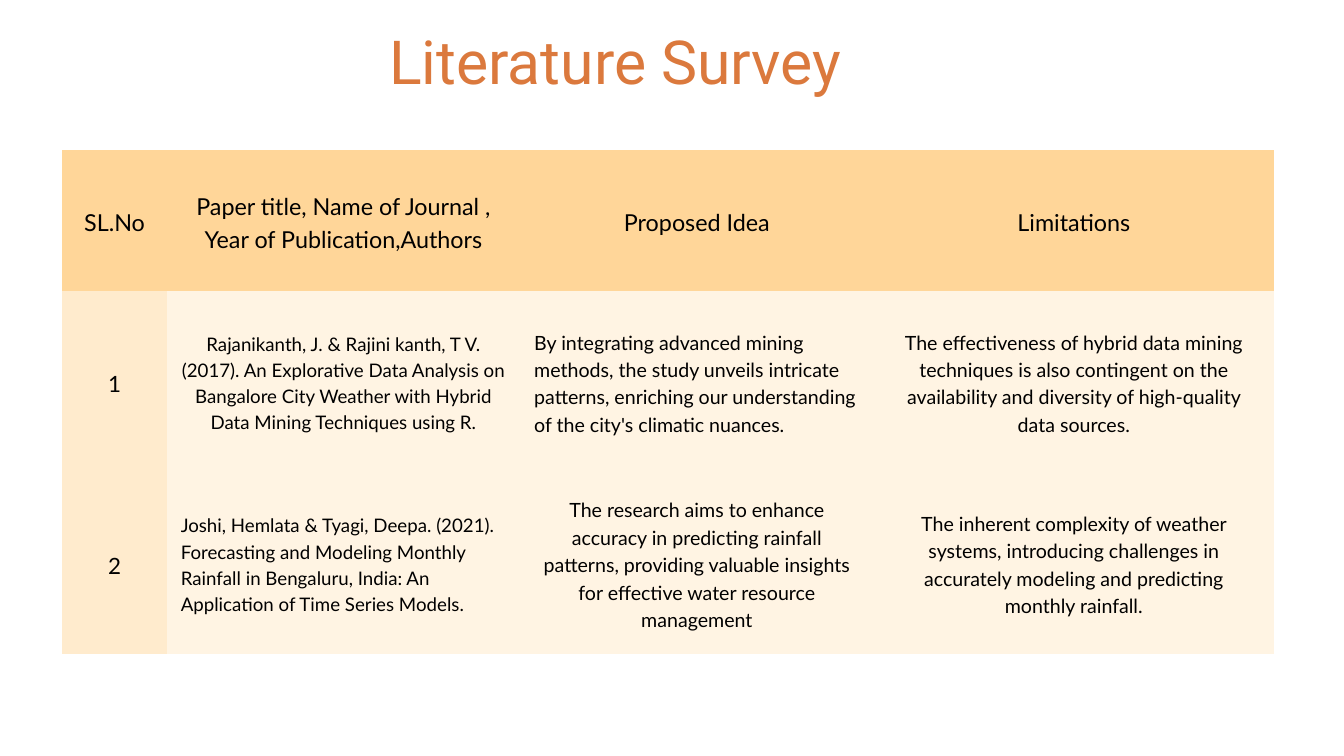
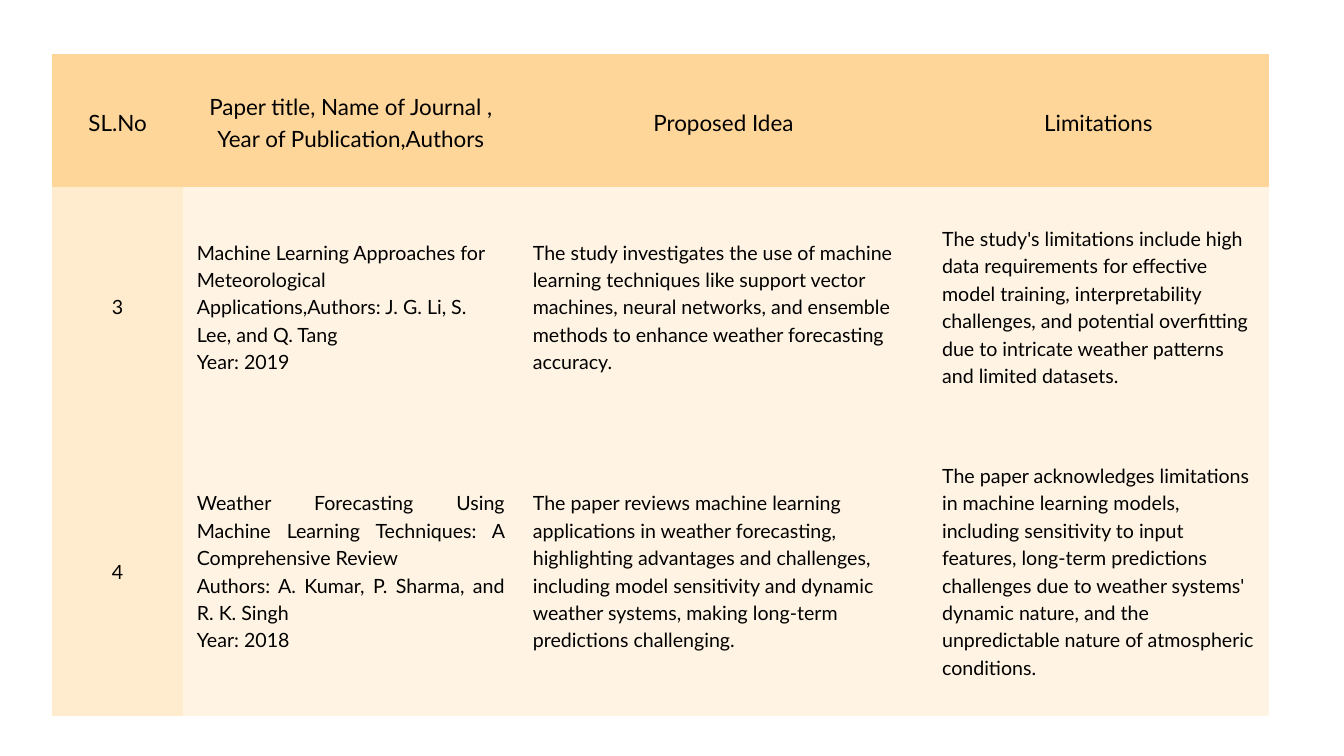
from lxml import etree
from pptx import Presentation
from pptx.dml.color import RGBColor
from pptx.enum.text import MSO_ANCHOR, MSO_AUTO_SIZE, PP_ALIGN
from pptx.oxml.ns import qn
from pptx.util import Inches, Pt

LEFT, CENTER, JUSTIFY = PP_ALIGN.LEFT, PP_ALIGN.CENTER, PP_ALIGN.JUSTIFY
MIDDLE = MSO_ANCHOR.MIDDLE
GROW = MSO_AUTO_SIZE.SHAPE_TO_FIT_TEXT

TITLE_COLOR = "DB793D"
TEXT_COLOR = "000000"
HEADER_FILL = "FFD699"
NUMBER_FILL = "FFEBCD"
BODY_FILL = "FFF4E3"
CELL_MARGIN = Inches(0.21)
LINE_FACTOR = 1.4
HEADINGS = [
    "SL.No",
    "Paper title, Name of Journal , Year of Publication,Authors",
    "Proposed Idea",
    "Limitations",
]

# Each body cell is a pair of text and alignment
surveys = [
    {
        "title": "Literature Survey",
        "origin": (0.93, 2.23),
        "columns": [1.55, 5.26, 5.26, 5.96],
        "rows": [2.1, 2.7, 2.7],
        "header_size": 25,
        "body_sizes": [24, 20, 21, 21],
        "papers": [
            [
                ("1", CENTER),
                ("Rajanikanth, J. & Rajini kanth, T V. (2017). An Explorative Data "
                 "Analysis on Bangalore City Weather with Hybrid Data Mining "
                 "Techniques using R.", CENTER),
                ("By integrating advanced mining methods, the study unveils intricate "
                 "patterns, enriching our understanding of the city's climatic "
                 "nuances.", LEFT),
                ("The effectiveness of hybrid data mining techniques is also "
                 "contingent on the availability and diversity of high-quality data "
                 "sources.", CENTER),
            ],
            [
                ("2", CENTER),
                ("Joshi, Hemlata & Tyagi, Deepa. (2021). Forecasting and Modeling "
                 "Monthly Rainfall in Bengaluru, India: An Application of Time Series "
                 "Models.", LEFT),
                ("The research aims to enhance accuracy in predicting rainfall "
                 "patterns, providing valuable insights for effective water resource "
                 "management", CENTER),
                ("The inherent complexity of weather systems, introducing challenges "
                 "in accurately modeling and predicting monthly rainfall.", CENTER),
            ],
        ],
    },
    {
        "title": None,
        "origin": (0.78, 0.8),
        "columns": [1.94, 5, 6.09, 5.07],
        "rows": [1.99, 3.51, 4.36],
        "header_size": 24,
        "body_sizes": [21, 21, 21, 21],
        "papers": [
            [
                ("3", CENTER),
                ("Machine Learning Approaches for Meteorological Applications,Authors: "
                 "J. G. Li, S. Lee, and Q. Tang\nYear: 2019", LEFT),
                ("The study investigates the use of machine learning techniques like "
                 "support vector machines, neural networks, and ensemble methods to "
                 "enhance weather forecasting accuracy.", LEFT),
                ("The study's limitations include high data requirements for effective "
                 "model training, interpretability challenges, and potential "
                 "overfitting due to intricate weather patterns and limited "
                 "datasets.", LEFT),
            ],
            [
                ("4", CENTER),
                ("Weather Forecasting Using Machine Learning Techniques: A "
                 "Comprehensive Review\nAuthors: A. Kumar, P. Sharma, and R. K. Singh\n"
                 "Year: 2018", JUSTIFY),
                ("The paper reviews machine learning applications in weather "
                 "forecasting, highlighting advantages and challenges, including model "
                 "sensitivity and dynamic weather systems, making long-term "
                 "predictions challenging.", LEFT),
                ("The paper acknowledges limitations in machine learning models, "
                 "including sensitivity to input features, long-term predictions "
                 "challenges due to weather systems' dynamic nature, and the "
                 "unpredictable nature of atmospheric conditions.", LEFT),
            ],
        ],
    },
]


def write_text(frame, text, font_name, size, color, alignment):
    frame.text = text
    for paragraph in frame.paragraphs:
        paragraph.alignment = alignment
        paragraph.line_spacing = Pt(size * LINE_FACTOR)
        paragraph.font.name = font_name
        paragraph.font.size = Pt(size)
        paragraph.font.color.rgb = RGBColor.from_string(color)


def style_cell(cell, fill):
    """Set margins, anchor, hairline borders and fill; borders must precede the fill."""
    cell.margin_left = cell.margin_right = CELL_MARGIN
    cell.margin_top = cell.margin_bottom = CELL_MARGIN
    cell.vertical_anchor = MIDDLE
    properties = cell._tc.get_or_add_tcPr()
    for side in ("a:lnL", "a:lnR", "a:lnT", "a:lnB"):
        border = etree.SubElement(properties, qn(side), w="0")
        line_fill = etree.SubElement(border, qn("a:solidFill"))
        etree.SubElement(line_fill, qn("a:srgbClr"), val=HEADER_FILL)
    cell.fill.solid()
    cell.fill.fore_color.rgb = RGBColor.from_string(fill)


prs = Presentation()
prs.slide_width, prs.slide_height = Inches(20), Inches(11.25)
blank_layout = prs.slide_layouts[6]

for survey in surveys:
    slide = prs.slides.add_slide(blank_layout)
    columns, rows = survey["columns"], survey["rows"]
    left, top = survey["origin"]
    table = slide.shapes.add_table(
        len(rows), len(columns), Inches(left), Inches(top),
        Inches(sum(columns)), Inches(sum(rows))).table
    table.first_row = table.horz_banding = False
    for column, width in zip(table.columns, columns):
        column.width = Inches(width)
    for row, height in zip(table.rows, rows):
        row.height = Inches(height)

    for index, heading in enumerate(HEADINGS):
        cell = table.cell(0, index)
        style_cell(cell, HEADER_FILL)
        write_text(cell.text_frame, heading, "Lato", survey["header_size"],
                   TEXT_COLOR, CENTER)

    for row_index, paper in enumerate(survey["papers"], start=1):
        for index, (text, alignment) in enumerate(paper):
            cell = table.cell(row_index, index)
            style_cell(cell, NUMBER_FILL if index == 0 else BODY_FILL)
            write_text(cell.text_frame, text, "Lato", survey["body_sizes"][index],
                       TEXT_COLOR, alignment)

    if survey["title"]:
        title = slide.shapes.add_textbox(
            Inches(5.79), Inches(0.17), Inches(8.42), Inches(1.22)).text_frame
        title.margin_left = title.margin_right = 0
        title.margin_top = title.margin_bottom = 0
        title.word_wrap = True
        title.auto_size = GROW
        write_text(title, survey["title"], "Roboto", 65, TITLE_COLOR, LEFT)

prs.save("out.pptx")
